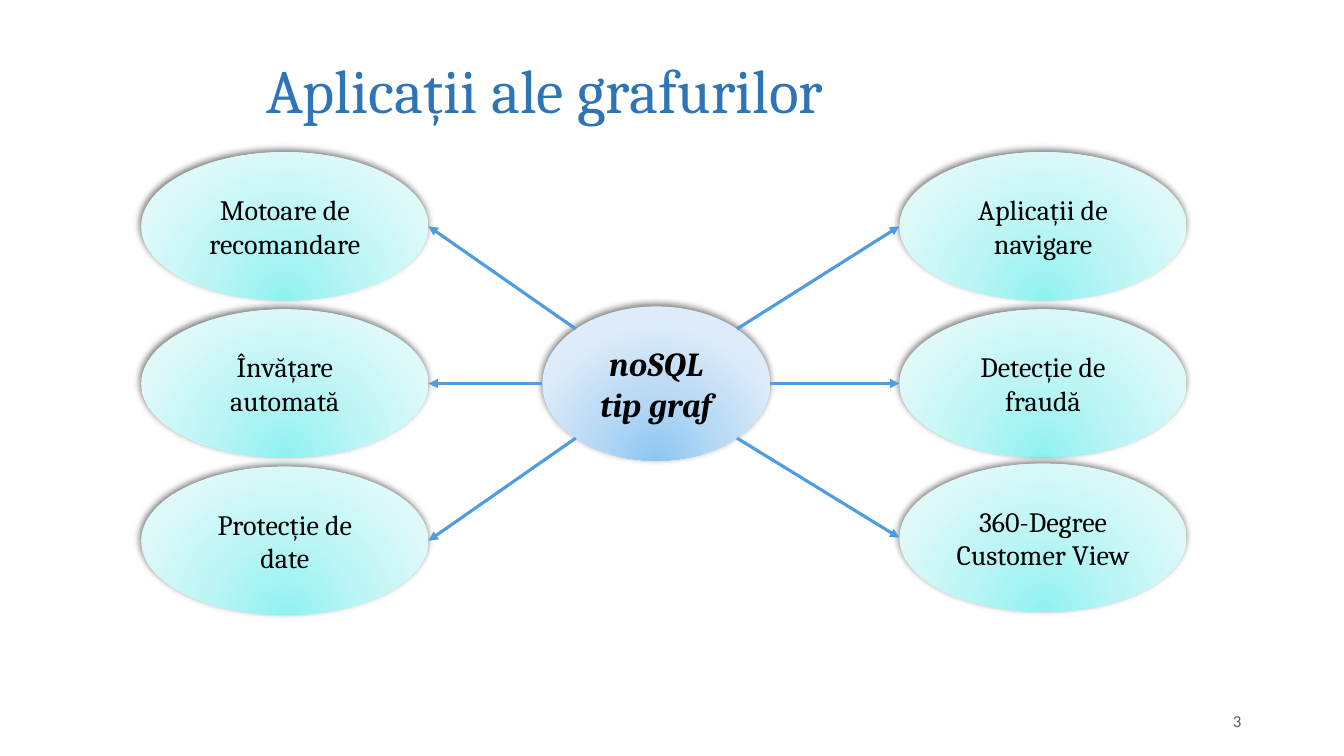
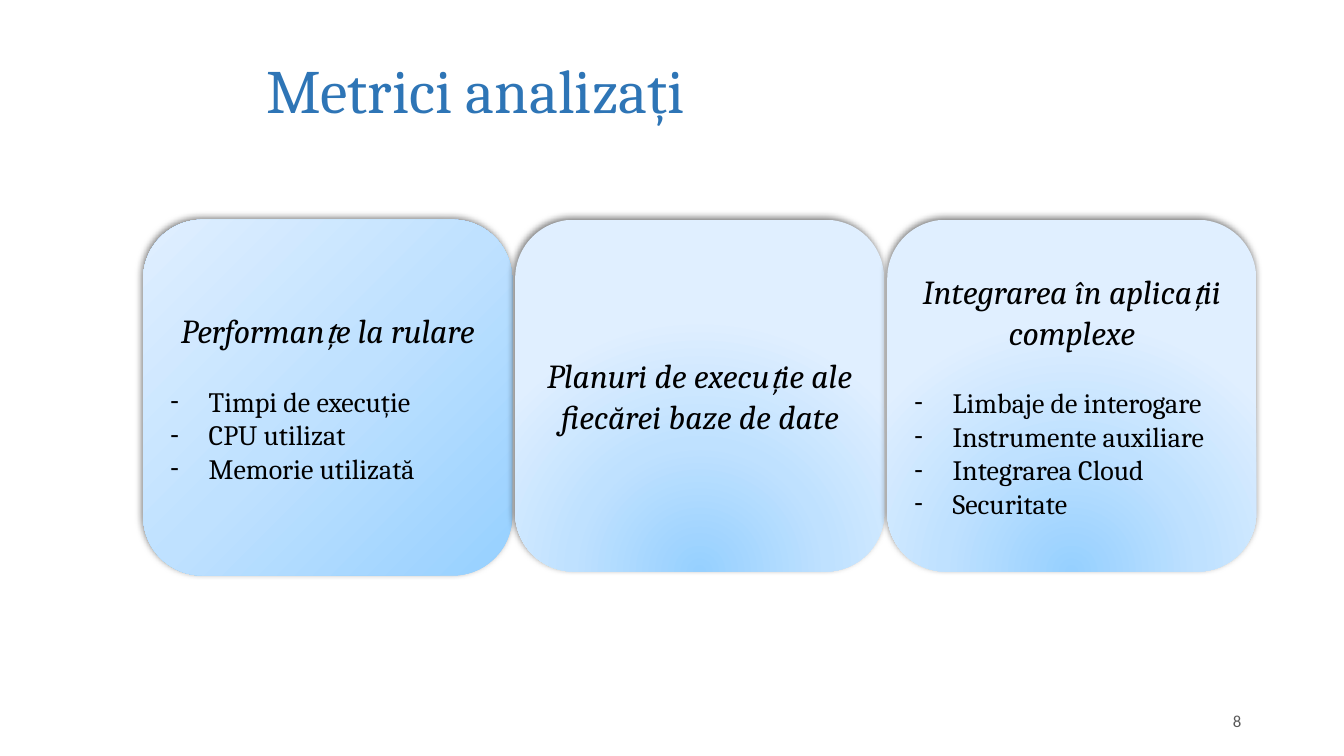
from dataclasses import dataclass
from math import cos, radians

from lxml import etree
from pptx import Presentation
from pptx.dml.color import RGBColor
from pptx.enum.shapes import MSO_CONNECTOR, MSO_SHAPE
from pptx.enum.text import MSO_ANCHOR, PP_ALIGN
from pptx.oxml import parse_xml
from pptx.oxml.ns import nsdecls, qn
from pptx.util import Inches, Pt

ELLIPSE, CARD = MSO_SHAPE.OVAL, MSO_SHAPE.ROUNDED_RECTANGLE
STRAIGHT = MSO_CONNECTOR.STRAIGHT
MIDDLE = MSO_ANCHOR.MIDDLE
LEFT, CENTER, RIGHT, JUSTIFY = (
    PP_ALIGN.LEFT, PP_ALIGN.CENTER, PP_ALIGN.RIGHT, PP_ALIGN.JUSTIFY)


@dataclass(frozen=True)
class Theme:
    heading_font: str = "Cambria"
    number_font: str = "Calibri"
    title: str = "2E75B6"
    number: str = "595959"
    text: str = "000000"
    arrow: str = "4F9CE1"
    hub: tuple = ("8CC6F2", "BADAF5", "DEECF9")
    node: tuple = ("91F1F1", "BDF5F5", "DFF9F9")
    card: tuple = ("96D0FF", "BFE1FF", "E0EFFF")
    title_size: int = 44
    lead_size: int = 24
    body_size: int = 20
    number_size: int = 12
    arrow_width: float = 2.25


THEME = Theme()

SLIDE_SIZE = (13.33, 7.5)
TITLE_BOX = (2.54, 0.4, 9.88, 0.97)
NUMBER_BOX = (8.83, 6.95, 3.58, 0.4)

GRAPH_TITLE, GRAPH_NUMBER = "Aplicații ale grafurilor", "3"
HUB_TEXT, HUB_BOX = "noSQL tip graf", (5.38, 3.04, 2.26, 1.53)
NODE_SIZE = (2.85, 1.47)
# side of the hub (-1 left, 1 right), left edge, (top, text) from top to bottom
NODE_COLUMNS = [
    (1, 8.92, [(1.51, "Aplicații de navigare"),
               (3.07, "Detecție de fraudă"),
               (4.6, "360-Degree Customer View")]),
    (-1, 1.4, [(1.51, "Motoare de recomandare"),
               (3.07, "Învățare automată"),
               (4.63, "Protecție de date")]),
]
HUB_ANGLES = (-45, 0, 45)

METRICS_TITLE, METRICS_NUMBER = "Metrici analizați", "8"
CARD_LEFT, CARD_TOP, CARD_WIDTH, CARD_GAP = 1.42, 2.18, 3.66, 0.03
# heading, bullets, height, diagonal gradient
CARDS = [
    ("Performanțe la rulare",
     ["Timpi de execuție", "CPU utilizat", "Memorie utilizată"], 3.53, True),
    ("Planuri de execuție ale fiecărei baze de date", [], 3.49, False),
    ("Integrarea în aplicații complexe",
     ["Limbaje de interogare", "Instrumente auxiliare", "Integrarea Cloud",
      "Securitate"], 3.49, False),
]
BULLET_INDENT, BULLET_GAP = 0.38, 24

DIAGONAL = '<a:lin ang="13500000" scaled="0"/>'
FROM_BOTTOM = ('<a:path path="circle">'
               '<a:fillToRect l="50000" t="100000" r="50000" b="0"/></a:path>')
SHADOW = (f'<a:outerShdw {nsdecls("a")} blurRad="63500" dist="25400" '
          'dir="14700000" rotWithShape="0"><a:srgbClr val="000000">'
          '<a:alpha val="50000"/></a:srgbClr></a:outerShdw>')


def inches(values):
    return [Inches(value) for value in values]


def write(paragraph, text, size, align=CENTER, color=THEME.text, **formats):
    paragraph.alignment = align
    run = paragraph.add_run()
    run.text = text
    run.font.color.rgb = RGBColor.from_string(color)
    settings = {"name": THEME.heading_font, "size": Pt(size), **formats}
    for name, value in settings.items():
        setattr(run.font, name, value)


def prepare_frame(shape):
    frame = shape.text_frame
    frame.word_wrap = True
    frame.vertical_anchor = MIDDLE
    return frame


def add_label(slide, box, text, size, **formats):
    frame = prepare_frame(slide.shapes.add_textbox(*inches(box)))
    write(frame.paragraphs[0], text, size, **formats)


def start_slide(presentation, title, number):
    slide = presentation.slides.add_slide(presentation.slide_layouts[6])
    add_label(slide, TITLE_BOX, title, THEME.title_size, align=LEFT,
              color=THEME.title)
    add_label(slide, NUMBER_BOX, number, THEME.number_size, align=RIGHT,
              color=THEME.number, name=THEME.number_font)
    return slide


def add_panel(slide, kind, box, colors, direction=FROM_BOTTOM):
    """Add a borderless shape with a gradient and soft shadow; return its text frame."""
    shape = slide.shapes.add_shape(kind, *inches(box))
    shape.line.fill.background()
    shape.shadow.inherit = False
    properties = shape.element.spPr
    stops = "".join(
        f'<a:gs pos="{index * 50000}"><a:srgbClr val="{color}"/></a:gs>'
        for index, color in enumerate(colors))
    properties.find(qn("a:ln")).addprevious(parse_xml(
        f'<a:gradFill {nsdecls("a")} rotWithShape="1">'
        f'<a:gsLst>{stops}</a:gsLst>{direction}</a:gradFill>'))
    properties.find(qn("a:effectLst")).append(parse_xml(SHADOW))
    return prepare_frame(shape)


def add_arrow(slide, start, end):
    arrow = slide.shapes.add_connector(STRAIGHT, *inches(start + end))
    arrow.line.color.rgb = RGBColor.from_string(THEME.arrow)
    arrow.line.width = Pt(THEME.arrow_width)
    properties = arrow.element.spPr
    etree.SubElement(properties.find(qn("a:ln")), qn("a:tailEnd"), type="triangle")
    etree.SubElement(properties, qn("a:effectLst"))


def hub_point(side, angle):
    """Return the point on the hub's outline at an angle from its side."""
    left, top, width, height = HUB_BOX
    across = cos(radians(angle))
    down = cos(radians(90 - angle))
    return (left + width / 2 * (1 + side * across), top + height / 2 * (1 + down))


def build_graph(presentation):
    slide = start_slide(presentation, GRAPH_TITLE, GRAPH_NUMBER)
    hub = add_panel(slide, ELLIPSE, HUB_BOX, THEME.hub)
    write(hub.paragraphs[0], HUB_TEXT, THEME.lead_size, bold=True, italic=True)
    width, height = NODE_SIZE
    for side, left, nodes in NODE_COLUMNS:
        inner_edge = left if side > 0 else left + width
        for (top, text), angle in zip(nodes, HUB_ANGLES):
            node = add_panel(slide, ELLIPSE, (left, top, width, height), THEME.node)
            write(node.paragraphs[0], text, THEME.body_size)
            add_arrow(slide, hub_point(side, angle), (inner_edge, top + height / 2))


def add_bullet(frame, text, space_before):
    paragraph = frame.add_paragraph()
    write(paragraph, text, THEME.body_size, align=JUSTIFY)
    paragraph.space_before = Pt(space_before)
    properties = paragraph._p.get_or_add_pPr()
    indent = Inches(BULLET_INDENT)
    properties.set("marL", str(indent))
    properties.set("indent", str(-indent))
    etree.SubElement(properties, qn("a:buFont"), typeface=THEME.number_font)
    etree.SubElement(properties, qn("a:buChar"), char="-")


def build_metrics(presentation):
    slide = start_slide(presentation, METRICS_TITLE, METRICS_NUMBER)
    for column, (heading, bullets, height, diagonal) in enumerate(CARDS):
        left = CARD_LEFT + column * (CARD_WIDTH + CARD_GAP)
        frame = add_panel(slide, CARD, (left, CARD_TOP, CARD_WIDTH, height),
                          THEME.card, DIAGONAL if diagonal else FROM_BOTTOM)
        write(frame.paragraphs[0], heading, THEME.lead_size, italic=True)
        for index, bullet in enumerate(bullets):
            add_bullet(frame, bullet, 0 if index else BULLET_GAP)


def main():
    presentation = Presentation()
    presentation.slide_width, presentation.slide_height = inches(SLIDE_SIZE)
    build_graph(presentation)
    build_metrics(presentation)
    presentation.save("out.pptx")


if __name__ == "__main__":
    main()
